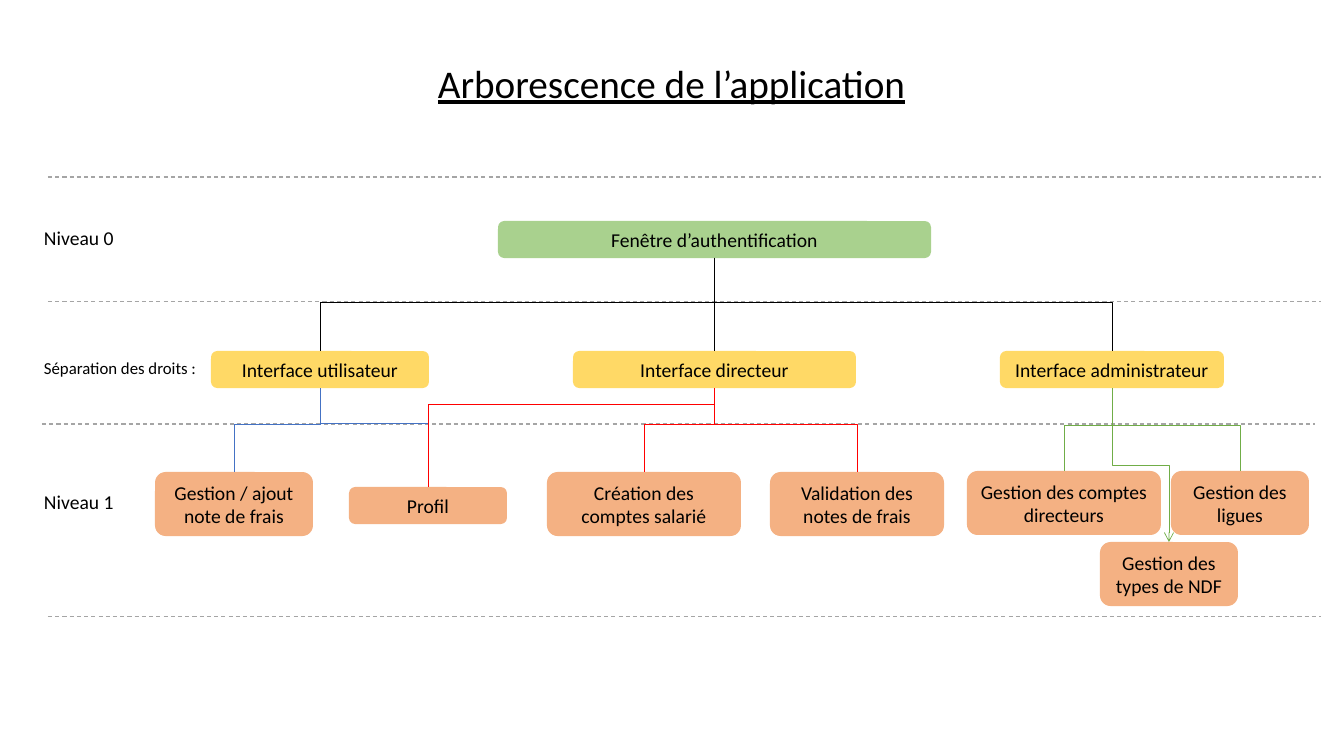
"""Build the slide that shows the screen tree of the application."""
from lxml.etree import SubElement
from pptx import Presentation
from pptx.dml.color import RGBColor
from pptx.enum.dml import MSO_LINE
from pptx.enum.shapes import MSO_CONNECTOR, MSO_SHAPE
from pptx.enum.text import MSO_ANCHOR, MSO_AUTO_SIZE, PP_ALIGN
from pptx.oxml.ns import qn
from pptx.util import Pt

SCALE = 12192000 / 1344
FONT = "Calibri"
BLACK = RGBColor(0x00, 0x00, 0x00)
GREY = RGBColor(0xA5, 0xA5, 0xA5)
LIME = RGBColor(0xA9, 0xD1, 0x8E)
YELLOW = RGBColor(0xFF, 0xD9, 0x66)
ORANGE = RGBColor(0xF4, 0xB1, 0x83)
BLUE = RGBColor(0x44, 0x72, 0xC4)
RED = RGBColor(0xFF, 0x00, 0x00)
GREEN = RGBColor(0x70, 0xAD, 0x47)


def emu(*sizes):
    """Turn pixels into EMU."""
    return [round(size * SCALE) for size in sizes]


class Chart:
    """Hold the slide and its style."""

    def __init__(self, deck):
        """Add a title-only slide."""
        self.slide = deck.slides.add_slide(deck.slide_layouts[5])
        self.shapes = self.slide.shapes

    def letter(self, shape, text, size=14, align=PP_ALIGN.CENTER):
        """Set and format the text of a shape."""
        frame = shape.text_frame
        frame.text = text
        frame.word_wrap = True
        frame.auto_size = MSO_AUTO_SIZE.SHAPE_TO_FIT_TEXT
        para = frame.paragraphs[0]
        para.alignment = align
        font = para.runs[0].font
        font.name, font.size, font.color.rgb = FONT, Pt(size), BLACK
        return font

    def title(self, text, *place):
        """Move and fill the title."""
        shape = self.shapes.title
        shape.left, shape.top, shape.width, shape.height = emu(*place)
        self.letter(shape, text, 28).underline = True
        shape.text_frame.vertical_anchor = MSO_ANCHOR.TOP

    def label(self, text, size, *place):
        """Add a plain text on the left."""
        self.letter(self.shapes.add_textbox(*emu(*place)), text, size, PP_ALIGN.LEFT)

    def box(self, text, fill, *place):
        """Add a rounded box of the tree."""
        shape = self.shapes.add_shape(MSO_SHAPE.ROUNDED_RECTANGLE, *emu(*place))
        shape.shadow.inherit = False
        shape.fill.solid()
        shape.fill.fore_color.rgb = fill
        shape.line.fill.background()
        self.letter(shape, text)
        shape.text_frame.vertical_anchor = MSO_ANCHOR.MIDDLE
        return shape

    def line(self, kind, color, width, *ends):
        """Add a connector without shadow."""
        line = self.shapes.add_connector(kind, *ends)
        line.line.color.rgb = color
        line.line.width = Pt(width)
        SubElement(line._element.spPr, qn("a:effectLst"))
        return line

    def guide(self, left, top):
        """Add a dashed line between two levels."""
        line = self.line(MSO_CONNECTOR.STRAIGHT, GREY, 0.75,
                         *emu(left, top, left + 1273, top))
        line.line.dash_style = MSO_LINE.DASH

    def link(self, start, end, color, bend, arrow=False):
        """Join two boxes, turning at the height of the bend."""
        left = start.left + start.width // 2
        right = end.left + end.width // 2
        top, low = start.top + start.height, end.top
        near = abs(right - left) < SCALE
        kind = MSO_CONNECTOR.STRAIGHT if near else MSO_CONNECTOR.ELBOW
        line = self.line(kind, color, 0.5, left, top, right, low)
        line.begin_connect(start, 2)
        line.end_connect(end, 0)
        if not near:
            self.turn(line, left, top, right, low, emu(bend)[0])
        if arrow:
            stroke = line._element.spPr.find(qn("a:ln"))
            SubElement(stroke, qn("a:tailEnd"), type="arrow")

    def turn(self, line, left, top, right, low, bend):
        """Rotate an elbow so that it leaves downwards."""
        span, drop = abs(right - left), low - top
        line.left = (left + right - drop) // 2
        line.top = (top + low - span) // 2
        line.width, line.height = drop, span
        props = line._element.spPr
        frame = props.find(qn("a:xfrm"))
        for flip in ("flipH", "flipV"):
            frame.attrib.pop(flip, None)
        frame.set("rot", "16200000" if right > left else "5400000")
        if right > left:
            frame.set("flipH", "1")
        shape = props.find(qn("a:prstGeom"))
        guides = shape.find(qn("a:avLst"))
        if guides is None:
            guides = SubElement(shape, qn("a:avLst"))
        ratio = round((bend - top) / drop * 100000)
        SubElement(guides, qn("a:gd"), name="adj1", fmla=f"val {ratio}")


deck = Presentation()
deck.slide_width, deck.slide_height = emu(1344, 756)
tree = Chart(deck)
tree.title("Arborescence de l’application", 405, 54, 533, 57)
for left, top in ((48, 177), (48, 302), (42, 424), (48, 617)):
    tree.guide(left, top)
for text, size, top, width, height in (
        ("Niveau 0", 14, 221, 179, 34),
        ("Séparation des droits :", 12, 353, 218, 30),
        ("Niveau 1", 14, 485, 179, 34)):
    tree.label(text, size, 34, top, width, height)

login = tree.box("Fenêtre d’authentification", LIME, 498, 221, 433, 37)
user, chief, admin = [
    tree.box(f"Interface {role}", YELLOW, left, 351, width, 37)
    for role, left, width in (
        ("utilisateur", 211, 218),
        ("directeur", 573, 283),
        ("administrateur", 1000, 224))]
notes, profile, staff, checks, heads, leagues, types = [
    tree.box(text, ORANGE, *place)
    for text, *place in (
        ("Gestion / ajout note de frais", 155, 472, 158, 64),
        ("Profil", 349, 487, 158, 37),
        ("Création des comptes salarié", 547, 472, 194, 64),
        ("Validation des notes de frais", 770, 472, 174, 64),
        ("Gestion des comptes directeurs", 967, 471, 194, 64),
        ("Gestion des ligues", 1171, 471, 138, 64),
        ("Gestion des types de NDF", 1100, 542, 138, 64))]

for start, end, color, bend in (
        (user, profile, BLUE, 423), (user, notes, BLUE, 424),
        (chief, staff, RED, 424), (chief, checks, RED, 424),
        (login, user, BLACK, 302), (login, chief, BLACK, 302),
        (login, admin, BLACK, 302), (chief, profile, RED, 404),
        (admin, leagues, GREEN, 425), (admin, heads, GREEN, 425)):
    tree.link(start, end, color, bend)
tree.link(admin, types, GREEN, 465, arrow=True)
deck.save("out.pptx")
